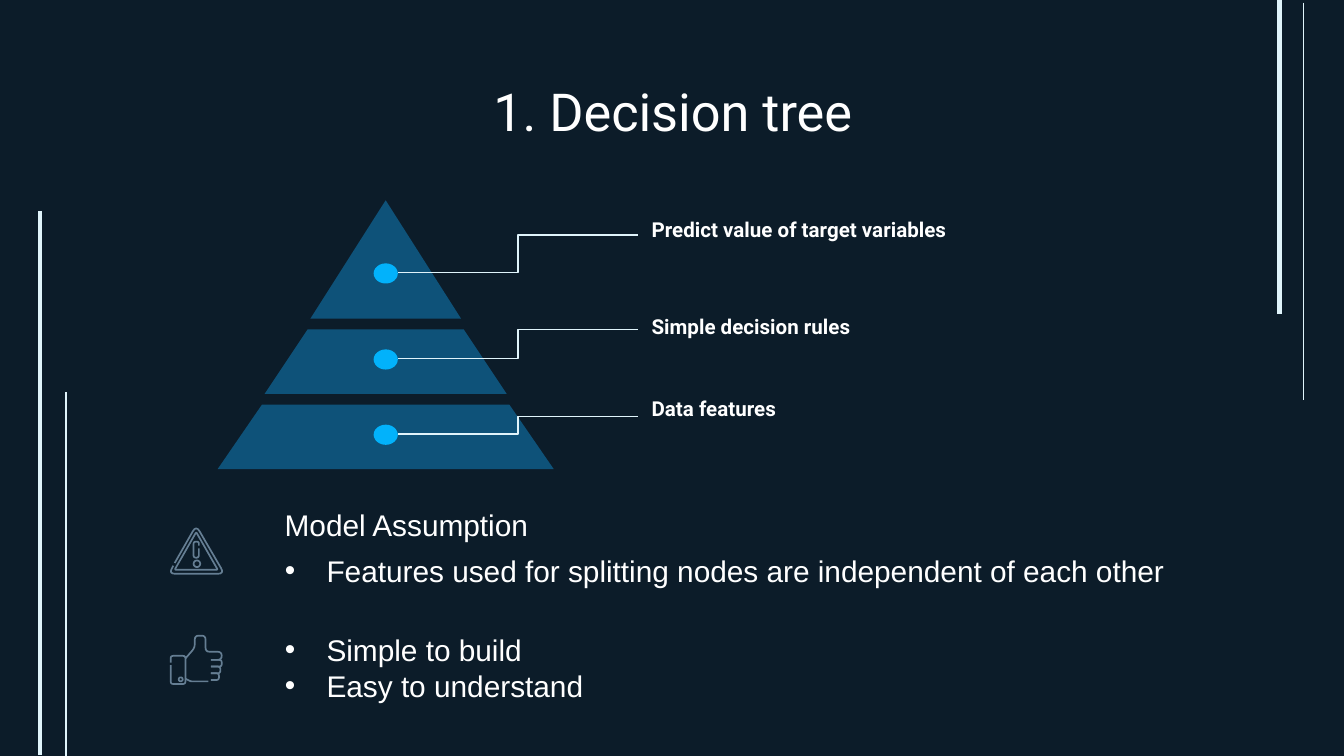
from lxml import etree
from pptx import Presentation, util as u
from pptx.dml.color import RGBColor
from pptx.enum import shapes, text
from pptx.oxml.ns import qn

NIGHT = RGBColor(0x0C, 0x1C, 0x29)
FROST = RGBColor(0xE0, 0xF4, 0xFB)
NAVY = RGBColor(0x0E, 0x52, 0x79)
SKY = RGBColor(0x02, 0xB2, 0xFB)
SLATE = RGBColor(0x65, 0x7E, 0x93)
WHITE = RGBColor(0xFF, 0xFF, 0xFF)


def place(shape, box):
    """Move a shape to a box given in inches."""
    shape.left, shape.top, shape.width, shape.height = map(u.Inches, box)


def mark(para):
    """Give a paragraph a white hanging bullet."""
    props = para._p.get_or_add_pPr()
    props.set("marL", str(u.Inches(0.31)))
    props.set("indent", str(-u.Inches(0.31)))
    tint = etree.SubElement(props, qn("a:buClr"))
    etree.SubElement(tint, qn("a:srgbClr"), val=str(WHITE))
    etree.SubElement(props, qn("a:buFont"), typeface="Arial")
    etree.SubElement(props, qn("a:buChar"), char="•")


def write(shape, lines, size=16, font="Arial", bold=False, bullet=False,
          align=text.PP_ALIGN.LEFT, anchor=text.MSO_ANCHOR.TOP):
    """Fill a shape with formatted lines of text."""
    frame = shape.text_frame
    frame.word_wrap = True
    frame.auto_size = text.MSO_AUTO_SIZE.NONE
    frame.vertical_anchor = anchor
    frame.margin_left = frame.margin_right = u.Inches(0.1)
    frame.margin_top = frame.margin_bottom = u.Inches(0.1)
    frame.text = "\n".join(lines)
    for para in frame.paragraphs:
        para.alignment = align
        para.line_spacing = 1.0
        para.space_before = para.space_after = u.Pt(0)
        for run in para.runs:
            run.font.size, run.font.name = u.Pt(size), font
            run.font.bold, run.font.color.rgb = bold, WHITE
        if bullet:
            mark(para)


def label(parts, box, words, **style):
    """Add a text box anchored at its foot."""
    shape = parts.add_textbox(*map(u.Inches, box))
    write(shape, [words], anchor=text.MSO_ANCHOR.BOTTOM, **style)


def link(parts, kind, ends, width=0.75):
    """Add a pale connector between two points."""
    line = parts.add_connector(kind, *map(u.Inches, ends))
    line.line.color.rgb = FROST
    line.line.width = u.Pt(width)
    etree.SubElement(line.element.spPr, qn("a:effectLst"))


def paint(shape, fill=None, edge=None):
    """Set a flat fill or a thin outline."""
    shape.shadow.inherit = False
    if fill is None:
        shape.fill.background()
    else:
        shape.fill.solid()
        shape.fill.fore_color.rgb = fill
    if edge is None:
        shape.line.fill.background()
    else:
        shape.line.color.rgb = edge
        shape.line.width = u.Pt(0.9)


def trace(parts, origin, points, close=False, **style):
    """Draw a path through points measured from an origin."""
    spots = [(u.Inches(origin[0] + x), u.Inches(origin[1] + y)) for x, y in points]
    pen = parts.build_freeform(*spots[0], scale=1.0)
    pen.add_line_segments(spots[1:], close=close)
    paint(pen.convert_to_shape(), **style)


def disc(parts, box, **style):
    """Add an ellipse."""
    paint(parts.add_shape(shapes.MSO_SHAPE.OVAL, *map(u.Inches, box)), **style)


def soften(points, radius, close=False):
    """Round the corners of a path with sampled curves."""
    def toward(start, goal):
        """Step from a corner along one side."""
        gap = ((goal[0] - start[0]) ** 2 + (goal[1] - start[1]) ** 2) ** 0.5
        part = min(radius / gap, 0.5)
        return [s + (g - s) * part for s, g in zip(start, goal)]

    out = []
    for spot, corner in enumerate(points):
        if not close and spot in (0, len(points) - 1):
            out.append(corner)
            continue
        first = toward(corner, points[spot - 1])
        last = toward(corner, points[(spot + 1) % len(points)])
        for step in range(5):
            t = step / 4
            out.append([(1 - t) ** 2 * a + 2 * t * (1 - t) * b + t * t * c
                        for a, b, c in zip(first, corner, last)])
    return out


def sketch(parts, origin, points, radius, close=False):
    """Draw one rounded icon stroke."""
    trace(parts, origin, soften(points, radius, close), close, edge=SLATE)


def rails(parts):
    """Draw the upright lines at both slide edges."""
    for x, top, foot, width in ((9.52, 0, 2.34, 2.25), (9.7, 0.02, 2.98, 0.75),
                                (0.3, 1.57, 5.62, 2.25), (0.49, 2.92, 5.63, 0.75)):
        link(parts, shapes.MSO_CONNECTOR.STRAIGHT, (x, top, x, foot), width)


def pyramid(parts, left, top):
    """Draw three tiers, each tied to its label."""
    mid = 1.25
    tiers = ((0, 0.88, 0, 0.56), (0.96, 1.44, 0.58, 0.9), (1.52, 2, 0.92, 1.25))
    for high, low, near, far in tiers:
        trace(parts, (left + mid, top),
              [(-near, high), (-far, low), (far, low), (near, high)],
              close=True, fill=NAVY)
    rows = (("Predict value of target variables", 0.11, 0.3, 4.46, 0.54, 0.26),
            ("Simple decision rules", 0.79, 0.34, 5.76, 1.18, 0.96),
            ("Data features", 1.48, 0.26, 4.57, 1.74, 1.61))
    for words, head, tall, wide, dot, tip in rows:
        label(parts, (left + 3.13, top + head, wide, tall), words,
              size=11, font="Roboto", bold=True)
        disc(parts, (left + mid - 0.09, top + dot - 0.07, 0.18, 0.15), fill=SKY)
        link(parts, shapes.MSO_CONNECTOR.ELBOW,
             (left + mid + 0.09, top + dot, left + 3.13, top + tip))


def warning(parts, left, top):
    """Draw the warning sign."""
    spot = left, top
    sketch(parts, spot, [(0.03, 0.26), (0.19, -0.02), (0.4, 0.34),
                         (-0.01, 0.34), (0.02, 0.28)], 0.05)
    sketch(parts, spot, [(0.19, 0.03), (0.35, 0.31), (0.03, 0.31)], 0.01, True)
    sketch(parts, spot, [(0.21, 0.15), (0.21, 0.22), (0.17, 0.22),
                         (0.17, 0.1), (0.21, 0.1), (0.21, 0.13)], 0.02)
    disc(parts, (left + 0.17, top + 0.24, 0.05, 0.05), edge=SLATE)


def thumb(parts, left, top):
    """Draw the raised thumb."""
    spot = left, top
    sketch(parts, spot, [(0, 0.21), (0, 0.16), (0.11, 0.16),
                         (0.11, 0.37), (0, 0.37), (0, 0.23)], 0.02)
    sketch(parts, spot, [(0.11, 0.18), (0.18, 0.1), (0.18, 0.01), (0.26, 0.01),
                         (0.26, 0.13), (0.38, 0.13), (0.38, 0.19), (0.3, 0.19)], 0.03)
    sketch(parts, spot, [(0.11, 0.33), (0.15, 0.35), (0.28, 0.35)], 0.01)
    for row in range(3):
        high, tip = 0.19 + 0.05 * row, 0.38 - 0.01 * row
        sketch(parts, spot, [(0.3, high), (tip, high),
                             (tip, high + 0.05), (0.3, high + 0.05)], 0.02)
    disc(parts, (left + 0.06, top + 0.32, 0.03, 0.03), edge=SLATE)


def build():
    """Build and save the slide."""
    deck = Presentation()
    deck.slide_width = u.Inches(10)
    deck.slide_height = deck.slide_width * 9 // 16
    slide = deck.slides.add_slide(deck.slide_layouts[3])
    slide.background.fill.solid()
    slide.background.fill.fore_color.rgb = NIGHT
    title, rule, gains = slide.placeholders
    place(title, (0.79, 0.49, 8.43, 0.63))
    write(title, ["1. Decision tree"], size=28, font="Roboto",
          align=text.PP_ALIGN.CENTER)
    rails(slide.shapes)
    for draw, left, top in ((pyramid, 1.62, 1.49), (thumb, 1.27, 4.72),
                            (warning, 1.27, 3.93)):
        draw(slide.shapes.add_group_shape().shapes, left, top)
    place(gains, (2.02, 4.6, 4.63, 0.73))
    write(gains, ["Simple to build", "Easy to understand"], bullet=True)
    place(rule, (2.02, 4.01, 7.37, 0.53))
    write(rule, ["Features used for splitting nodes are independent of each other"],
          bullet=True)
    label(slide.shapes, (2.02, 3.73, 3.14, 0.41), "Model Assumption")
    deck.save("out.pptx")


if __name__ == "__main__":
    build()
